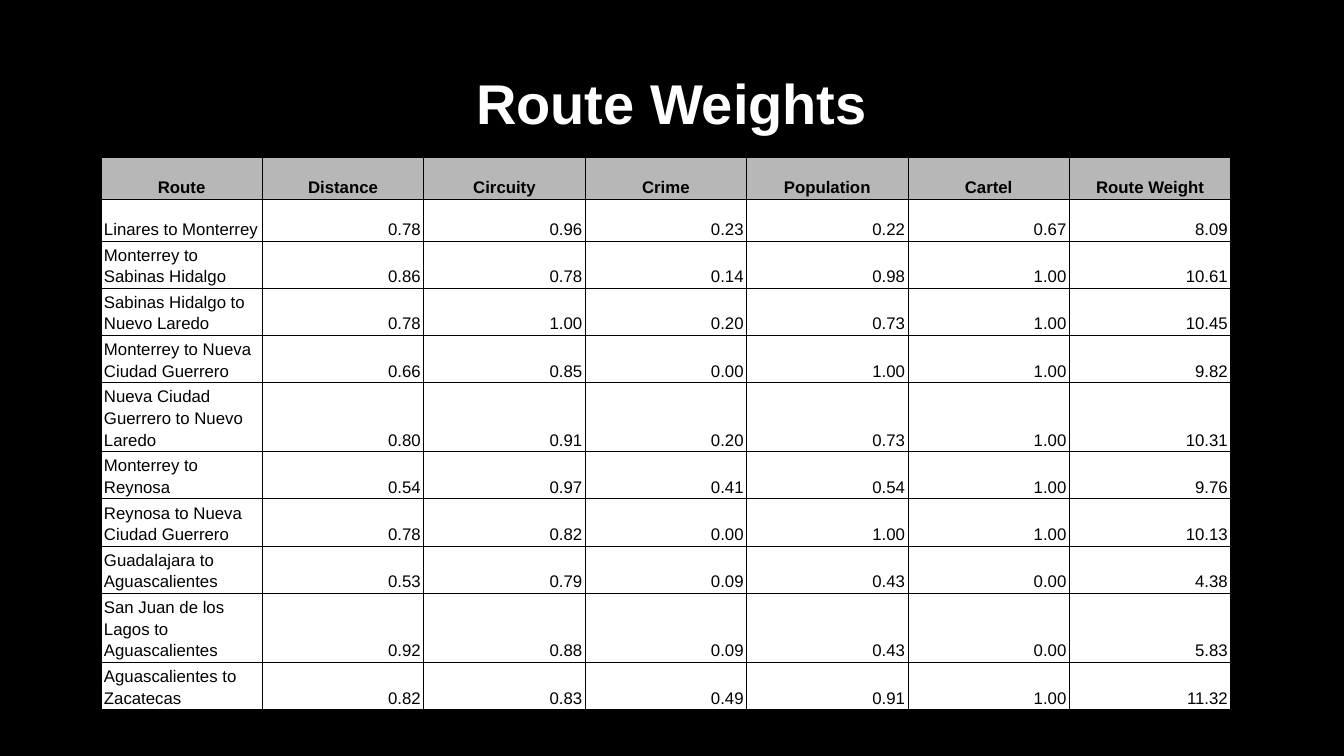
from lxml import etree
from pptx import Presentation
from pptx.dml.color import RGBColor
from pptx.enum.text import MSO_ANCHOR, PP_ALIGN
from pptx.oxml.ns import qn
from pptx.util import Pt

LEFT, MID, RIGHT = PP_ALIGN.LEFT, PP_ALIGN.CENTER, PP_ALIGN.RIGHT
CENTRE, BASE = MSO_ANCHOR.MIDDLE, MSO_ANCHOR.BOTTOM
SCALE = 12192000 / 1344
FONT = "Arial"
COLORS = {"black": "000000", "white": "FFFFFF", "gray": "B7B7B7"}
HEAD = ["Route", "Distance", "Circuity", "Crime", "Population", "Cartel", "Route Weight"]
ROUTES = [
    ("Linares to Monterrey", 0.78, 0.96, 0.23, 0.22, 0.67, 8.09),
    ("Monterrey to Sabinas Hidalgo", 0.86, 0.78, 0.14, 0.98, 1.00, 10.61),
    ("Sabinas Hidalgo to Nuevo Laredo", 0.78, 1.00, 0.20, 0.73, 1.00, 10.45),
    ("Monterrey to Nueva Ciudad Guerrero", 0.66, 0.85, 0.00, 1.00, 1.00, 9.82),
    ("Nueva Ciudad Guerrero to Nuevo Laredo", 0.80, 0.91, 0.20, 0.73, 1.00, 10.31),
    ("Monterrey to Reynosa", 0.54, 0.97, 0.41, 0.54, 1.00, 9.76),
    ("Reynosa to Nueva Ciudad Guerrero", 0.78, 0.82, 0.00, 1.00, 1.00, 10.13),
    ("Guadalajara to Aguascalientes", 0.53, 0.79, 0.09, 0.43, 0.00, 4.38),
    ("San Juan de los Lagos to Aguascalientes", 0.92, 0.88, 0.09, 0.43, 0.00, 5.83),
    ("Aguascalientes to Zacatecas", 0.82, 0.83, 0.49, 0.91, 1.00, 11.32),
]


def emu(px):
    """Turn px into EMU."""
    return round(px * SCALE)


def tint(name):
    """Look up a named colour."""
    return RGBColor.from_string(COLORS[name])


class Deck:
    """Holds the style and the current slide."""

    def __init__(self, wide, high):
        """Open a deck with one black slide."""
        self.prs = Presentation()
        self.prs.slide_width, self.prs.slide_height = emu(wide), emu(high)
        self.slide = self.prs.slides.add_slide(self.prs.slide_layouts[5])
        fill = self.slide.background.fill
        fill.solid()
        fill.fore_color.rgb = tint("black")

    def style(self, para, size, color, bold, align, space):
        """Format one paragraph and its runs."""
        para.alignment, para.line_spacing = align, space
        for run in para.runs:
            font = run.font
            font.name, font.size, font.bold = FONT, Pt(size), bold
            font.color.rgb = tint(color)

    def title(self, text, left, top, wide, high):
        """Fill and place the title."""
        shape = self.slide.shapes.title
        shape.left, shape.top = emu(left), emu(top)
        shape.width, shape.height = emu(wide), emu(high)
        frame = shape.text_frame
        frame.text = text
        frame.vertical_anchor = CENTRE
        self.style(frame.paragraphs[0], 40, "white", True, MID, 0.9)

    def border(self, cell):
        """Draw a thin black line on all sides of a cell."""
        props = cell._tc.get_or_add_tcPr()
        for spot, side in enumerate(("lnL", "lnR", "lnT", "lnB")):
            line = etree.Element(qn("a:" + side), w=str(Pt(0.75)))
            fill = etree.SubElement(line, qn("a:solidFill"))
            etree.SubElement(fill, qn("a:srgbClr"), val=COLORS["black"])
            props.insert(spot, line)

    def cell(self, cell, text, fill, bold, align):
        """Fill and format one table cell."""
        cell.text = text
        cell.vertical_anchor = BASE
        cell.margin_left = cell.margin_right = emu(3)
        cell.margin_top = cell.margin_bottom = emu(2)
        cell.fill.solid()
        cell.fill.fore_color.rgb = tint(fill)
        self.border(cell)
        self.style(cell.text_frame.paragraphs[0], 12, "black", bold, align, 1.15)

    def table(self, head, rows, left, top, wide, highs):
        """Add a table with a gray head row."""
        frame = self.slide.shapes.add_table(
            len(highs), len(head), emu(left), emu(top), emu(wide), emu(sum(highs)))
        grid = frame.table
        for col in grid.columns:
            col.width = emu(wide / len(head))
        for row, high in zip(grid.rows, highs):
            row.height = emu(high)
        for c, text in enumerate(head):
            self.cell(grid.cell(0, c), text, "gray", True, MID)
        for r, (route, *nums) in enumerate(rows, 1):
            self.cell(grid.cell(r, 0), route, "white", False, LEFT)
            for c, num in enumerate(nums, 1):
                self.cell(grid.cell(r, c), f"{num:.2f}", "white", False, RIGHT)


def main():
    """Build the slide and save it."""
    deck = Deck(1344, 756)
    deck.title("Route Weights", 101, 33, 1141, 146)
    deck.table(HEAD, ROUTES, 101, 157, 1130, [42] * 6 + [43] * 5)
    deck.prs.save("out.pptx")


if __name__ == "__main__":
    main()
